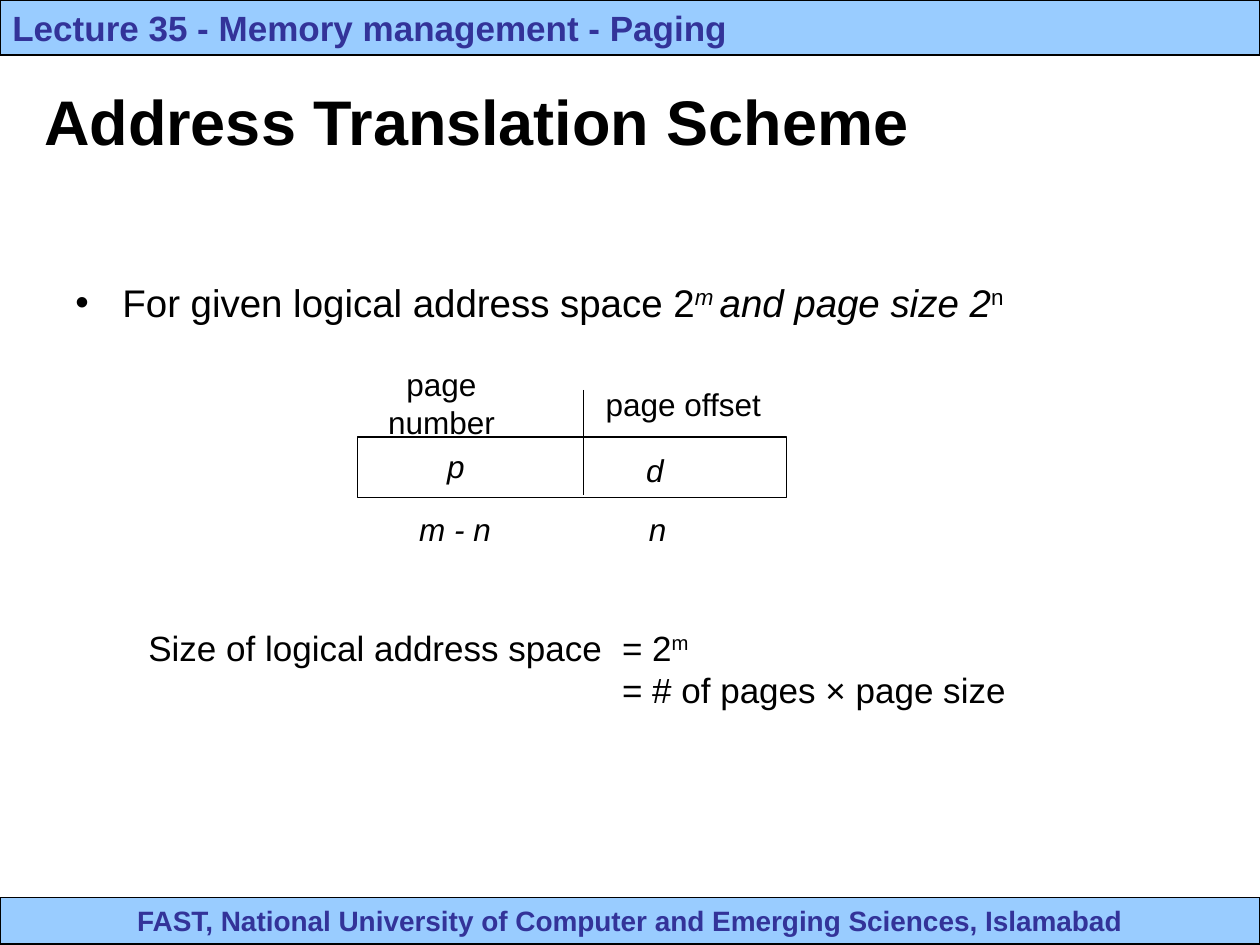
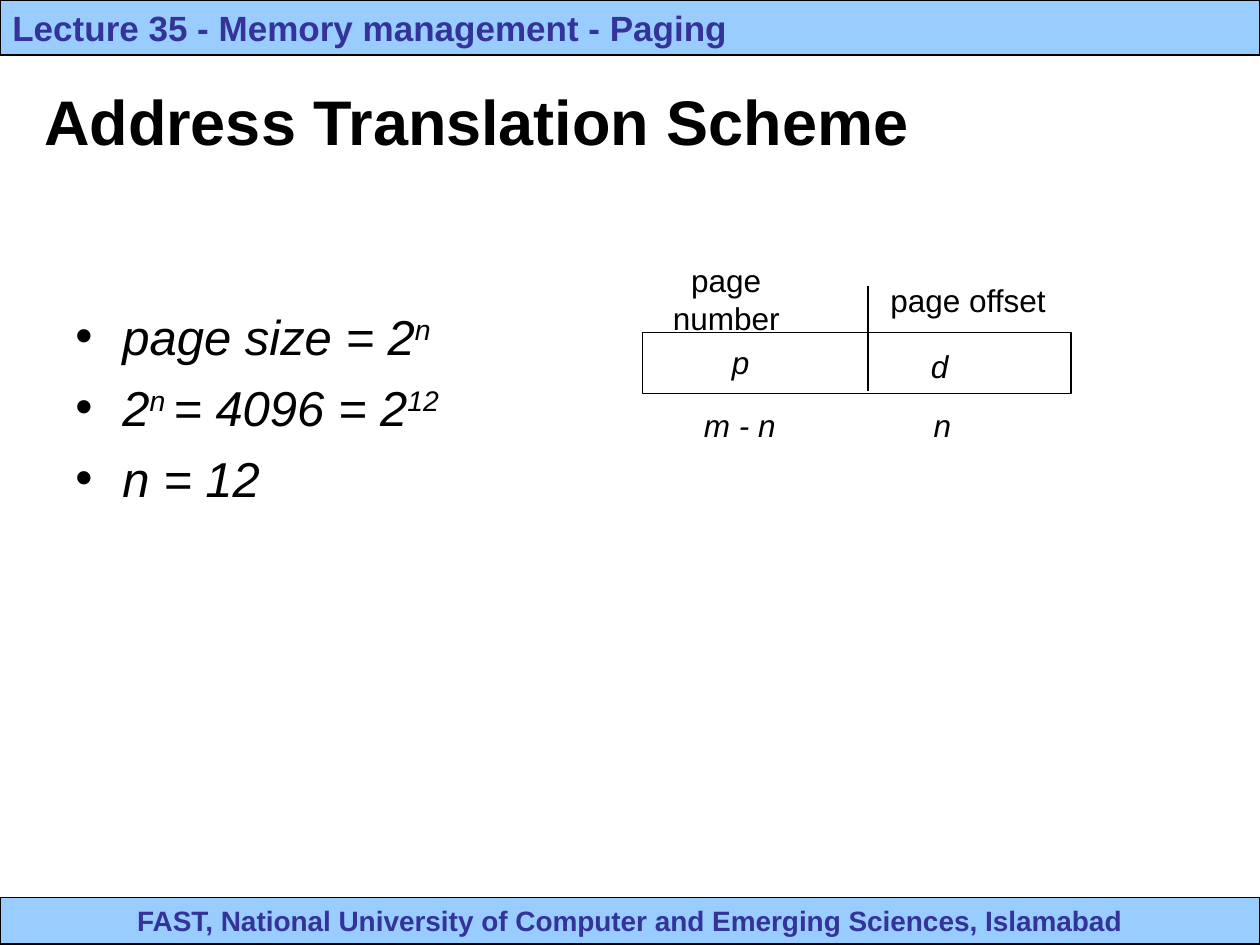
"""Build two lecture slides on address translation with paging."""

import pptx
import pptx.dml.color
import pptx.enum.shapes
import pptx.enum.text
import pptx.oxml.ns
import pptx.util
from lxml import etree

Cm = pptx.util.Cm
Pt = pptx.util.Pt
ALIGN = pptx.enum.text.PP_ALIGN
ANCHOR = pptx.enum.text.MSO_ANCHOR

BLACK = pptx.dml.color.RGBColor(0x00, 0x00, 0x00)
WHITE = pptx.dml.color.RGBColor(0xFF, 0xFF, 0xFF)
SKY = pptx.dml.color.RGBColor(0x99, 0xCC, 0xFF)
INDIGO = pptx.dml.color.RGBColor(0x33, 0x33, 0x99)

PAGE_WIDTH, PAGE_HEIGHT = 25.4, 19.05
LINE_WIDTH = Pt(0.75)
BULLET_INDENT = Cm(0.95)

BODY = {"name": "Arial", "color": BLACK, "bold": False, "italic": False}
TITLE = {**BODY, "size": Pt(36), "bold": True}
HEADER = {**BODY, "size": Pt(20), "bold": True, "color": INDIGO}
FOOTER = {**HEADER, "size": Pt(16)}
LABEL = {**BODY, "size": Pt(18)}
SYMBOL = {**LABEL, "italic": True}
FORMULA = {**BODY, "size": Pt(20)}
STATEMENT = {**BODY, "size": Pt(22)}
EXAMPLE = {**BODY, "size": Pt(28), "italic": True}

ADDRESS_LABELS = [
    ("page number", LABEL, -0.43, -1.19, 4.24),
    ("page offset", LABEL, 4.75, -1.17, 3.63),
    ("p", SYMBOL, 1.55, 0.08, 0.86),
    ("d", SYMBOL, 5.56, 0.15, 0.86),
    ("m - n", SYMBOL, 0.86, 1.35, 2.21),
    ("n", SYMBOL, 5.44, 1.35, 1.22),
]


def add_span(para, text, style, raised=False):
    """Add a run in the given style, raised as a superscript if asked."""
    span = para.add_run()
    span.text = text
    for name, value in style.items():
        if name == "color":
            span.font.color.rgb = value
        else:
            setattr(span.font, name, value)
    if raised:
        span._r.get_or_add_rPr().set("baseline", "30000")


def write_paragraphs(box, paragraphs, align=ALIGN.LEFT, anchor=ANCHOR.TOP, wrap=True):
    """Fill a shape with paragraphs, each a list of spans, and return them."""
    frame = box.text_frame
    frame.word_wrap = wrap
    frame.vertical_anchor = anchor
    written = []
    for spans in paragraphs:
        para = frame.add_paragraph() if written else frame.paragraphs[0]
        para.alignment = align
        for span in spans:
            add_span(para, *span)
        written.append(para)
    return written


def add_text(page, left, top, width, height, paragraphs, **layout):
    """Add a text box and return its paragraphs."""
    box = page.shapes.add_textbox(Cm(left), Cm(top), Cm(width), Cm(height))
    return write_paragraphs(box, paragraphs, **layout)


def add_rectangle(page, left, top, width, height, fill):
    """Add a filled rectangle with a thin black outline."""
    box = page.shapes.add_shape(
        pptx.enum.shapes.MSO_SHAPE.RECTANGLE, Cm(left), Cm(top), Cm(width), Cm(height)
    )
    box.shadow.inherit = False
    box.fill.solid()
    box.fill.fore_color.rgb = fill
    box.line.color.rgb = BLACK
    box.line.width = LINE_WIDTH
    return box


def add_divider(page, x, top, bottom):
    """Add a thin vertical line."""
    line = page.shapes.add_connector(
        pptx.enum.shapes.MSO_CONNECTOR.STRAIGHT, Cm(x), Cm(top), Cm(x), Cm(bottom)
    )
    line.line.color.rgb = BLACK
    line.line.width = LINE_WIDTH
    etree.SubElement(line._element.spPr, pptx.oxml.ns.qn("a:effectLst"))


def add_bullets(page, top, paragraphs, gap=0):
    """Add a bulleted list with a gap in points between its items."""
    written = add_text(page, 1.27, top, 22.86, 12, paragraphs)
    for index, para in enumerate(written):
        if index:
            para.space_before = Pt(gap)
        properties = para._p.get_or_add_pPr()
        properties.set("marL", str(BULLET_INDENT))
        properties.set("indent", str(-BULLET_INDENT))
        font = etree.SubElement(properties, pptx.oxml.ns.qn("a:buFont"))
        font.set("typeface", "Arial")
        bullet = etree.SubElement(properties, pptx.oxml.ns.qn("a:buChar"))
        bullet.set("char", "•")


def add_equations(page, left, top, paragraphs, equals_at):
    """Add lines of an equation whose equals signs share one tab stop."""
    for para in add_text(page, left, top, 21.16, 1.96, paragraphs):
        stops = etree.SubElement(para._p.get_or_add_pPr(), pptx.oxml.ns.qn("a:tabLst"))
        stop = etree.SubElement(stops, pptx.oxml.ns.qn("a:tab"))
        stop.set("pos", str(Cm(equals_at)))
        stop.set("algn", "l")


def add_address_diagram(page, left, top):
    """Draw a logical address split into page number and page offset."""
    add_rectangle(page, left, top, 8.64, 1.22, WHITE)
    add_divider(page, left + 4.55, top - 0.95, top + 1.17)
    for text, style, across, down, width in ADDRESS_LABELS:
        add_text(
            page, left + across, top + down, width, 1.02, [[(text, style)]],
            align=ALIGN.CENTER, anchor=ANCHOR.MIDDLE, wrap=False,
        )


def add_page(deck, title):
    """Add a blank slide with the shared bands and a title."""
    page = deck.slides.add_slide(deck.slide_layouts[6])
    footer = add_rectangle(page, 0, 18.09, PAGE_WIDTH, 0.94, SKY)
    write_paragraphs(
        footer,
        [[("FAST, National University of Computer and Emerging Sciences, Islamabad", FOOTER)]],
        align=ALIGN.CENTER,
    )
    header = add_rectangle(page, 0, 0, PAGE_WIDTH, 1.11, SKY)
    write_paragraphs(header, [[("Lecture 35 - Memory management - Paging", HEADER)]])
    add_text(page, 0.64, 1.47, 22.86, 1.9, [[(title, TITLE)]], anchor=ANCHOR.MIDDLE)
    return page


def main():
    """Build and save the deck."""
    deck = pptx.Presentation()
    deck.slide_width, deck.slide_height = Cm(PAGE_WIDTH), Cm(PAGE_HEIGHT)

    scheme = add_page(deck, "Address Translation Scheme")
    slanted = {**STATEMENT, "italic": True}
    add_bullets(scheme, 5.5, [[
        ("For given logical address space 2", STATEMENT),
        ("m ", slanted, True),
        ("and page size 2", slanted),
        ("n", STATEMENT, True),
    ]])
    add_address_diagram(scheme, 7.21, 8.81)
    add_equations(scheme, 2.74, 12.5, [
        [("Size of logical address space\t= 2", FORMULA), ("m", FORMULA, True)],
        [("\t= # of pages × page size", FORMULA)],
    ], equals_at=9.55)

    example = add_page(deck, "Address Translation Scheme")
    add_bullets(example, 6.05, [
        [("page size = 2", EXAMPLE), ("n", EXAMPLE, True)],
        [("2", EXAMPLE), ("n ", EXAMPLE, True), ("= 4096 = 2", EXAMPLE), ("12", EXAMPLE, True)],
        [("n = 12", EXAMPLE)],
    ], gap=7)
    add_address_diagram(example, 12.95, 6.71)

    deck.save("out.pptx")


if __name__ == "__main__":
    main()
